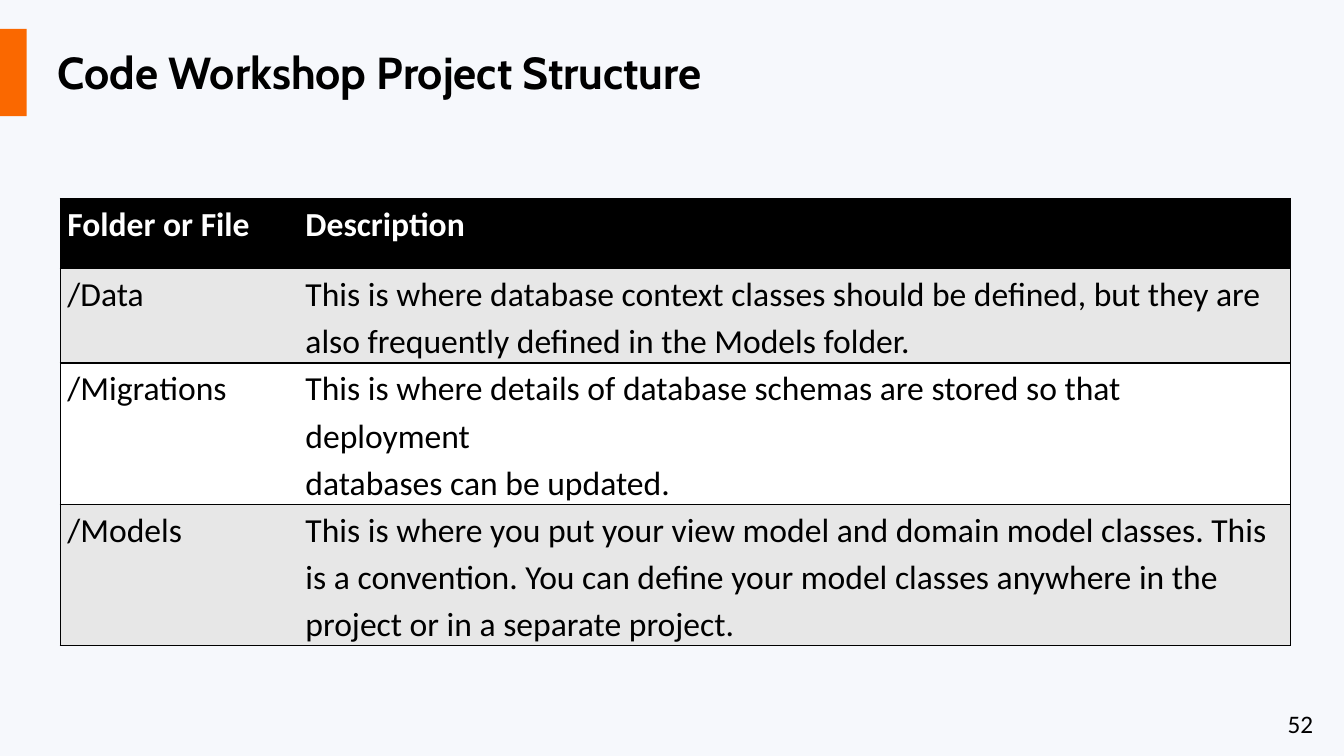
from pptx import Presentation
from pptx.dml.color import RGBColor
from pptx.enum.shapes import MSO_SHAPE as Shape
from pptx.enum.text import MSO_ANCHOR as Anchor, MSO_AUTO_SIZE as AutoSize, PP_ALIGN as Align
from pptx.oxml import parse_xml
from pptx.oxml.ns import nsdecls
from pptx.util import Cm, Pt

BLACK, WHITE, GREY = "000000", "FFFFFF", "E7E7E7"
ORANGE, BACKGROUND = "FA6800", "F6F8FC"
TITLE_FONT, BODY_FONT = "Cabin", "Calibri"

COLUMN_SHARES = (0.1935, 0.8065)
ROW_HEIGHTS = (1.77, 2.37, 3.55, 3.55)
ROWS = [
    ("Folder or File", "Description"),
    ("/Data", "This is where database context classes should be defined, but they are "
              "also frequently defined in the Models folder."),
    ("/Migrations", "This is where details of database schemas are stored so that deployment\n"
                    "databases can be updated."),
    ("/Models", "This is where you put your view model and domain model classes. This is a "
                "convention. You can define your model classes anywhere in the project or in a "
                "separate project."),
]


def color(value):
    return RGBColor.from_string(value)


def paint(target, value):
    target.fill.solid()
    target.fill.fore_color.rgb = color(value)


def set_font(paragraph, name, size, value=BLACK, bold=False):
    font = paragraph.font
    font.name, font.size, font.bold = name, Pt(size), bold
    font.color.rgb = color(value)


def set_borders(cell, open_side):
    """Draw a thin black line on each side of the cell except open_side."""
    properties = cell._tc.get_or_add_tcPr()
    for position, side in enumerate("LRTB"):
        fill = ("<a:noFill/>" if side == open_side else
                f'<a:solidFill><a:srgbClr val="{BLACK}"/></a:solidFill>')
        line = parse_xml(f'<a:ln{side} {nsdecls("a")} w="12700">{fill}</a:ln{side}>')
        properties.insert(position, line)


def add_title(slide, text, left, top, width, height):
    title = slide.shapes.title
    title.left, title.top, title.width, title.height = map(Cm, (left, top, width, height))
    frame = title.text_frame
    frame.text = text
    frame.auto_size = AutoSize.NONE
    frame.vertical_anchor = Anchor.MIDDLE
    frame.paragraphs[0].alignment = Align.LEFT
    set_font(frame.paragraphs[0], TITLE_FONT, 32, bold=True)


def add_accent(slide, left, top, width, height):
    accent = slide.shapes.add_shape(Shape.RECTANGLE, *map(Cm, (left, top, width, height)))
    accent.shadow.inherit = False
    accent.line.fill.background()
    paint(accent, ORANGE)


def add_page_number(slide, number, left, top, width, height):
    box = slide.shapes.add_textbox(*map(Cm, (left, top, width, height)))
    box.text_frame.word_wrap = False
    box.text_frame.text = number
    set_font(box.text_frame.paragraphs[0], BODY_FONT, 18)


def fill_cell(cell, text, is_header, background):
    cell.margin_left = cell.margin_right = Cm(0.18)
    cell.margin_top = cell.margin_bottom = 0
    cell.text_frame.text = text
    for paragraph in cell.text_frame.paragraphs:
        paragraph.line_spacing = 1.15
        set_font(paragraph, BODY_FONT, 24, WHITE if is_header else BLACK, is_header)
    paint(cell, background)


def add_folder_table(slide, left, top, width):
    frame = slide.shapes.add_table(len(ROWS), len(COLUMN_SHARES), Cm(left), Cm(top),
                                   Cm(width), Cm(sum(ROW_HEIGHTS)))
    table = frame.table
    for column, share in zip(table.columns, COLUMN_SHARES):
        column.width = Cm(width * share)
    for index, (texts, height) in enumerate(zip(ROWS, ROW_HEIGHTS)):
        table.rows[index].height = Cm(height)
        is_header = index == 0
        background = BLACK if is_header else (WHITE, GREY)[index % 2]
        for cell, text, open_side in zip(table.rows[index].cells, texts, "RL"):
            fill_cell(cell, text, is_header, background)
            set_borders(cell, open_side)
    table.cell(0, 1).text_frame.paragraphs[0].alignment = Align.JUSTIFY


def main():
    presentation = Presentation()
    presentation.slide_width, presentation.slide_height = Cm(33.87), Cm(19.05)
    slide = presentation.slides.add_slide(presentation.slide_layouts[5])
    paint(slide.background, BACKGROUND)
    add_accent(slide, 0, 0.73, 0.67, 2.2)
    add_title(slide, "Code Workshop Project Structure", 1.2, 0.73, 24, 2.16)
    add_folder_table(slide, 1.52, 5, 31)
    add_page_number(slide, "52", 32.2, 17.73, 1.27, 1.02)
    presentation.save("out.pptx")


if __name__ == "__main__":
    main()
